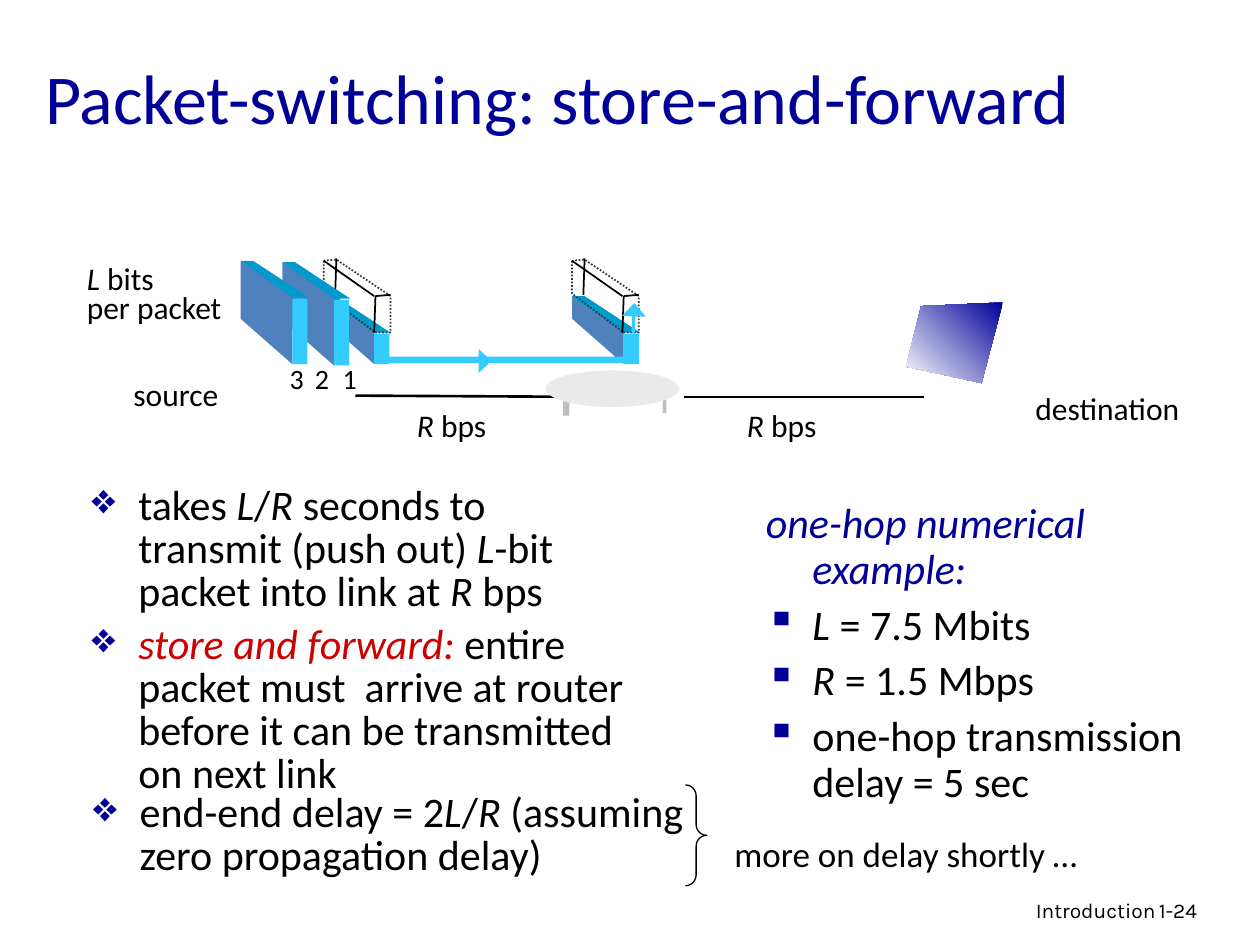
import pptx
import pptx.util
import pptx.dml.color
import pptx.enum.dml
import pptx.enum.shapes
import pptx.enum.text
import lxml.etree
from dataclasses import dataclass
from pptx.oxml.ns import qn

PX = 9144  # EMU per px, 100 px to the inch
SHAPE = pptx.enum.shapes.MSO_SHAPE
ALIGN = pptx.enum.text.PP_ALIGN
AUTO = pptx.enum.text.MSO_AUTO_SIZE


@dataclass(frozen=True)
class Theme:
    font: str = "Calibri"
    footer_font: str = "Karla"
    title: int = 40
    body: int = 24
    remark: int = 20
    label: int = 18
    number: int = 16
    footer: int = 12
    black: str = "000000"
    navy: str = "000099"
    red: str = "CC0000"
    white: str = "FFFFFF"
    front: str = "33CCFF"
    side: str = "4F81BD"
    top: str = "0099CC"
    ghost: str = "313739"
    router: str = "EAEAEA"
    router_leg: str = "BFBFBF"


THEME = Theme()


def px(*lengths):
    return [pptx.util.Emu(round(length * PX)) for length in lengths]


def rgb(color):
    return pptx.dml.color.RGBColor.from_string(color)


def paint(shape, fill=None, line=None, width=1):
    shape.shadow.inherit = False
    if fill:
        shape.fill.solid()
        shape.fill.fore_color.rgb = rgb(fill)
    else:
        shape.fill.background()
    if line:
        shape.line.color.rgb = rgb(line)
        shape.line.width = pptx.util.Pt(width)
    else:
        shape.line.fill.background()
    return shape


def preset(slide, kind, box, fill=None, line=None, width=1):
    return paint(slide.shapes.add_shape(kind, *px(*box)), fill, line, width)


def outline(slide, x, y, points, fill=None, line=None):
    corners = [(x + dx, y + dy) for dx, dy in points]
    builder = slide.shapes.build_freeform(*corners[0], scale=PX)
    builder.add_line_segments(corners[1:], close=True)
    return paint(builder.convert_to_shape(), fill, line)


def segment(slide, x1, y1, x2, y2, width=1):
    edge = slide.shapes.add_connector(
        pptx.enum.shapes.MSO_CONNECTOR.STRAIGHT, *px(x1, y1, x2, y2))
    edge.line.color.rgb = rgb(THEME.black)
    edge.line.width = pptx.util.Pt(width)
    lxml.etree.SubElement(edge._element.spPr, qn("a:effectLst"))


def write(paragraph, runs, size, color=THEME.black, font=THEME.font):
    """Each run is (text, style); the style may hold i for italic, or a colour."""
    for text, *style in runs:
        run = paragraph.add_run()
        run.text = text
        run.font.name = font
        run.font.size = pptx.util.Pt(size)
        run.font.italic = "i" in style
        hues = [mark for mark in style if mark != "i"]
        run.font.color.rgb = rgb(hues[0] if hues else color)


def text_box(slide, box, wrap=True):
    frame = slide.shapes.add_textbox(*px(*box)).text_frame
    frame.word_wrap = wrap
    frame.auto_size = AUTO.NONE if wrap else AUTO.SHAPE_TO_FIT_TEXT
    return frame


def label(slide, box, lines, size=THEME.label, leading=None):
    frame = text_box(slide, box, wrap=False)
    for index, runs in enumerate(lines):
        paragraph = frame.add_paragraph() if index else frame.paragraphs[0]
        if leading:
            paragraph.line_spacing = pptx.util.Pt(leading)
        write(paragraph, runs, size)


def bullets(slide, box, items, spacing, indent):
    """Each item is (bullet sign or None, runs)."""
    frame = text_box(slide, box)
    for index, (sign, runs) in enumerate(items):
        paragraph = frame.add_paragraph() if index else frame.paragraphs[0]
        props = paragraph._p.get_or_add_pPr()
        props.set("marL", str(indent * PX))
        props.set("indent", str(-37 * PX))
        if sign:
            hue = lxml.etree.SubElement(props, qn("a:buClr"))
            lxml.etree.SubElement(hue, qn("a:srgbClr")).set("val", THEME.navy)
            lxml.etree.SubElement(props, qn("a:buChar")).set("char", sign)
        else:
            lxml.etree.SubElement(props, qn("a:buNone"))
        paragraph.line_spacing = spacing
        if index:
            paragraph.space_before = pptx.util.Pt(6)
        write(paragraph, runs, THEME.body)


def packet(slide, x, y, height):
    """A slanted slab: left side, top and narrow front."""
    outline(slide, x, y, [(0, 0), (0, height), (41, height + 36), (41, 28)], THEME.side)
    outline(slide, x, y, [(10, 0), (0, 0), (41, 29), (54, 29)], THEME.top)
    preset(slide, SHAPE.RECTANGLE, (x + 41, y + 30, 12, height + 6), THEME.front)


def ghost(slide, x, y):
    """The part of a packet that is not there: dotted rim and inner edges."""
    rim = outline(slide, x, y, [(0, 0), (0, 26), (41, 57), (53, 57), (53, 28), (10, -1)],
                  line=THEME.ghost)
    rim.line.dash_style = pptx.enum.dml.MSO_LINE.ROUND_DOT
    for x1, y1, x2, y2 in [(0, 0, 40, 28), (41, 28, 53, 27), (41, 28, 40, 57), (10, -2, 9, 27)]:
        segment(slide, x + x1, y + y1, x + x2, y + y2)


def flow_arrow(slide, box, head, turn=0):
    arrow = preset(slide, SHAPE.RIGHT_ARROW, box, THEME.front)
    arrow.adjustments[0], arrow.adjustments[1] = 0.14, head
    arrow.rotation = turn


def router(slide, x, y):
    for dx, dy, width in [(93, 21, 3), (14, 23, 5)]:
        preset(slide, SHAPE.RECTANGLE, (x + dx, y + dy, width, 13), THEME.router_leg)
    preset(slide, SHAPE.OVAL, (x, y, 106, 29), THEME.router)


def destination_host(slide, x, y):
    screen = outline(slide, x, y, [(77, 0), (12, 3), (0, 51), (60, 64)], THEME.navy)
    screen.fill.gradient()
    screen.fill.gradient_angle = 225
    for stop, color in zip(screen.fill.gradient_stops, (THEME.navy, THEME.white)):
        stop.color.rgb = rgb(color)


def network(slide, x, y):
    # Links, router and destination
    segment(slide, x + 223, y + 107, x + 413, y + 108, 1.5)
    router(slide, x + 374, y + 87)
    segment(slide, x + 484, y + 108, x + 674, y + 108, 1.5)
    destination_host(slide, x + 660, y + 33)
    # Partly sent and partly stored packet 1
    for packet_x, ghost_x in [(395, 395), (197, 198)]:
        packet(slide, x + packet_x, y + 28, 18)
        ghost(slide, x + ghost_x, y)
    # Waiting packets and the flow of bits
    packet(slide, x + 165, y + 1, 46)
    preset(slide, SHAPE.RECTANGLE, (x + 244, y + 76, 195, 5), THEME.front)
    flow_arrow(slide, (x + 308, y + 70, 23, 19), 0.53)
    packet(slide, x + 132, y, 46)
    flow_arrow(slide, (x + 432, y + 36, 24, 19), 0.55, 272)
    # Labels
    for number, dx in [("1", 203), ("2", 181), ("3", 161)]:
        label(slide, (x + dx, y + 75, 31, 37), [[(number,)]], THEME.number)
    for dx in (262, 524):
        label(slide, (x + dx, y + 110, 75, 40), [[("R", "i"), (" bps",)]])
    label(slide, (x + 37, y + 86, 88, 40), [[("source",)]])
    label(slide, (x + 753, y + 97, 134, 40), [[("destination",)]])
    label(slide, (x, y + 1, 128, 56), [[("L", "i"), (" bits",)], [("per packet",)]], leading=16.5)


def heading(slide, box):
    title = slide.shapes.title
    title.left, title.top, title.width, title.height = px(*box)
    frame = title.text_frame
    frame.auto_size = AUTO.NONE
    frame.vertical_anchor = pptx.enum.text.MSO_ANCHOR.MIDDLE
    frame.paragraphs[0].alignment = ALIGN.LEFT
    write(frame.paragraphs[0], [("Packet-switching: store-and-forward",)], THEME.title, THEME.navy)


def delay_notes(slide, x, y):
    bullets(slide, (x, y, 453, 357), [
        ("❖", [("takes ",), ("L", "i"), ("/",), ("R", "i"), (" seconds to transmit (push out) ",),
               ("L", "i"), ("-bit packet into link at ",), ("R", "i"), (" bps",)]),
        ("❖", [("store and forward: ", "i", THEME.red),
               ("entire packet must  arrive at router before it can be transmitted on next link",)]),
    ], 0.85, 37)
    bullets(slide, (x + 1, y + 244, 503, 105), [
        ("❖", [("end-end delay = 2",), ("L", "i"), ("/",), ("R", "i"),
               (" (assuming zero propagation delay)",)]),
    ], 0.85, 37)
    brace = preset(slide, SHAPE.RIGHT_BRACE, (x + 481, y + 242, 17, 80), None, THEME.black, 0.75)
    brace.adjustments[0] = 0.5
    label(slide, (x + 510, y + 275, 335, 44), [[("more on delay shortly …",)]], THEME.remark)


def numerical_example(slide, box):
    bullets(slide, box, [
        (None, [("one-hop numerical example:", "i", THEME.navy)]),
        ("▪", [("L", "i"), (" = 7.5 Mbits",)]),
        ("▪", [("R", "i"), (" = 1.5 Mbps",)]),
        ("▪", [("one-hop transmission delay = 5 sec",)]),
    ], 0.9, 38)


def footer(slide, x, y):
    for dx, width, text, align in [(0, 317, "Introduction", ALIGN.RIGHT),
                                   (300, 74, "1-24", ALIGN.LEFT)]:
        paragraph = text_box(slide, (x + dx, y, width, 31)).paragraphs[0]
        paragraph.alignment = align
        write(paragraph, [(text,)], THEME.footer, font=THEME.footer_font)


def main():
    deck = pptx.Presentation()
    deck.slide_width, deck.slide_height = px(1000, 750)
    slide = deck.slides.add_slide(deck.slide_layouts[5])
    heading(slide, (26, 31, 896, 91))
    network(slide, 59, 207)
    delay_notes(slide, 63, 381)
    numerical_example(slide, (597, 394, 384, 244))
    footer(slide, 610, 707)
    deck.save("out.pptx")


if __name__ == "__main__":
    main()
